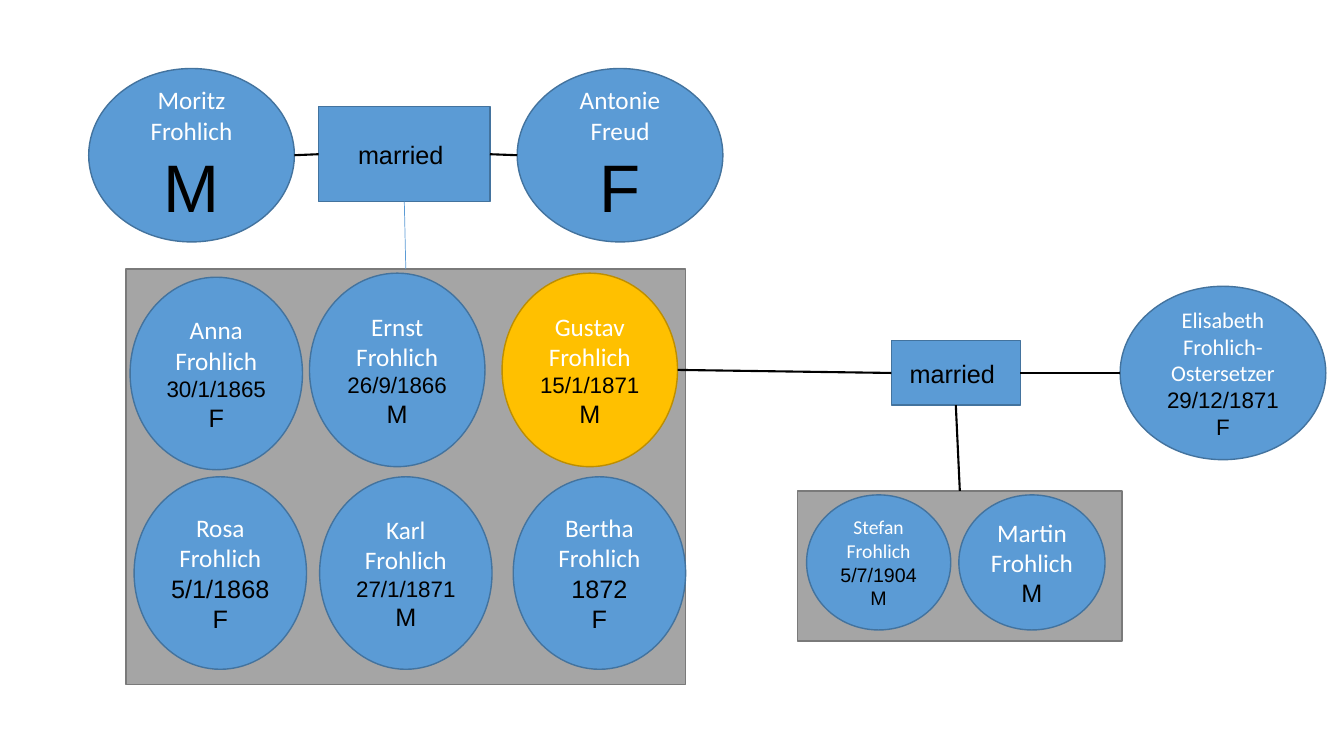
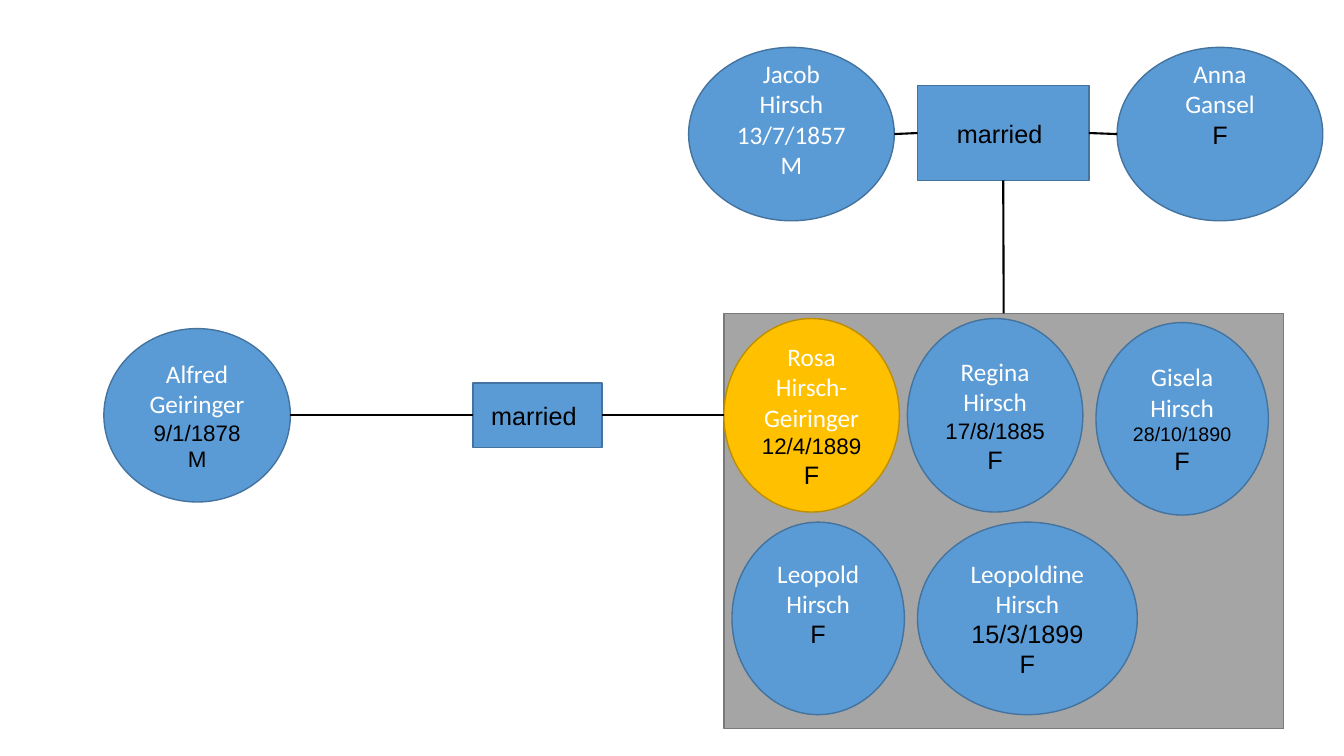
import pptx
import pptx.util
import pptx.dml.color
import pptx.enum.shapes
import pptx.enum.text
import pptx.oxml.ns
import lxml.etree

PX = 9144  # 100 px to the inch
COLORS = {
    "blue": "5B9BD5", "blue_edge": "43739E",
    "gold": "FFC000", "gold_edge": "BD8E00",
    "gray": "A5A5A5", "gray_edge": "7A7A7A",
    "white": "FFFFFF", "black": "000000",
}
NAME_FONT, DETAIL_FONT = "Calibri", "Arial"
BLANK_LINE = 30  # height of one 18 pt line
PARENT, CHILD, WIDE_CHILD = (204, 172), (171, 191), (174, 192)
BIG_MARRIAGE, SMALL_MARRIAGE = (170, 94), (128, 64)
SIBLINGS = (555, 412)

# boxes: key, position, size
# people: key, full name, name size, position, size, details (text, size), options
# links: key, side, key, side, line colour, line width
FAMILIES = [
    {
        "groups": [("siblings", (125, 267), SIBLINGS),
                   ("sons", (791, 487), (322, 149))],
        "marriages": [("parents", (316, 106), BIG_MARRIAGE),
                      ("couple", (884, 338), SMALL_MARRIAGE)],
        "people": [
            ("Moritz", "Moritz Frohlich", 18, (88, 68), PARENT, [("M", 48)], {}),
            ("Antonie", "Antonie Freud", 18, (513, 68), PARENT, [("F", 48)], {}),
            ("Anna", "Anna Frohlich", 18, (129, 275), CHILD,
             [("30/1/1865", 16), ("F", 18)], {}),
            ("Ernst", "Ernst Frohlich", 18, (307, 271), WIDE_CHILD,
             [("26/9/1866", 16), ("M", 18)], {}),
            ("Gustav", "Gustav Frohlich", 18, (498, 271), WIDE_CHILD,
             [("15/1/1871", 16), ("M", 18)], {"color": "gold"}),
            ("Rosa", "Rosa Frohlich", 18, (133, 473), CHILD,
             [("5/1/1868", 18), ("F", 18)], {}),
            ("Karl", "Karl Frohlich", 18, (317, 473), CHILD,
             [("27/1/1871", 16), ("M", 18)], {}),
            ("Bertha", "Bertha Frohlich", 18, (509, 473), CHILD,
             [("1872", 18), ("F", 18)], {}),
            ("Elisabeth", "Elisabeth Frohlich-Ostersetzer", 16, (1111, 284), PARENT,
             [("29/12/1871", 16), ("F", 16)], {}),
            ("Stefan", "Stefan Frohlich", 14, (800, 491), (143, 134),
             [("5/7/1904", 14), ("M", 14)], {}),
            ("Martin", "Martin Frohlich", 18, (951, 491), (145, 134),
             [("M", 18)], {}),
        ],
        "links": [
            ("Antonie", "left", "parents", "right", "black", 1.5),
            ("parents", "left", "Moritz", "right", "black", 1.5),
            ("parents", "bottom", "siblings", "top", "blue", 0.5),
            ("Gustav", "right", "couple", "left", "black", 1.5),
            ("Elisabeth", "left", "couple", "right", "black", 1.5),
            ("couple", "bottom", "sons", "top", "black", 1.5),
        ],
    },
    {
        "groups": [("siblings", (718, 311), SIBLINGS)],
        "marriages": [("parents", (910, 85), BIG_MARRIAGE),
                      ("couple", (469, 380), SMALL_MARRIAGE)],
        "people": [
            ("Jacob", "Jacob Hirsch", 18, (683, 47), PARENT,
             [("13/7/1857", 18), ("M", 18)], {"plain": True, "lift": 1}),
            ("Anna", "Anna Gansel", 18, (1108, 47), PARENT, [("F", 18)], {"lift": 2}),
            ("Rosa", "Rosa Hirsch-Geiringer", 18, (718, 316), WIDE_CHILD,
             [("12/4/1889", 16), ("F", 18)], {"color": "gold"}),
            ("Regina", "Regina Hirsch", 18, (900, 316), WIDE_CHILD,
             [("17/8/1885", 16), ("F", 18)], {}),
            ("Gisela", "Gisela Hirsch", 18, (1087, 320), CHILD,
             [("28/10/1890", 14), ("F", 18)], {}),
            ("Leopold", "Leopold Hirsch", 18, (726, 518), CHILD,
             [("F", 18)], {"lift": 1}),
            ("Leopoldine", "Leopoldine Hirsch", 18, (910, 518), (218, 191),
             [("15/3/1899", 18), ("F", 18)], {}),
            ("Alfred", "Alfred Geiringer", 18, (103, 326), (185, 172),
             [("9/1/1878", 16), ("M", 16)], {}),
        ],
        "links": [
            ("Anna", "left", "parents", "right", "black", 1.5),
            ("parents", "left", "Jacob", "right", "black", 1.5),
            ("siblings", "top", "parents", "bottom", "black", 1.5),
            ("Rosa", "left", "couple", "right", "black", 1.5),
            ("couple", "left", "Alfred", "right", "black", 1.5),
        ],
    },
]
SIDES = {"left": (0, 0.5), "right": (1, 0.5), "top": (0.5, 0), "bottom": (0.5, 1)}
SHAPES = pptx.enum.shapes.MSO_SHAPE


def rgb(name):
    return pptx.dml.color.RGBColor.from_string(COLORS[name])


def add_box(s, kind, pos, size, color, lines=(), lift=0):
    """Add an outlined shape; lines are (text, size, font, colour)."""
    sp = s.shapes.add_shape(kind, *(v * PX for v in pos + size))
    sp.shadow.inherit = False
    sp.fill.solid()
    sp.fill.fore_color.rgb = rgb(color)
    sp.line.color.rgb = rgb(color + "_edge")
    sp.line.width = pptx.util.Pt(1)
    if not lines:
        return sp
    tf = sp.text_frame
    tf.word_wrap = True
    tf.vertical_anchor = pptx.enum.text.MSO_ANCHOR.MIDDLE
    tf.margin_bottom = (5 + lift * BLANK_LINE) * PX
    tf.text = "\n".join(line[0] for line in lines)
    for p, (_, pt, font, ink) in zip(tf.paragraphs, lines):
        p.alignment = pptx.enum.text.PP_ALIGN.CENTER
        r = p.runs[0]
        r.font.size = pptx.util.Pt(pt)
        r.font.name = font
        r.font.color.rgb = rgb(ink)
    return sp


def add_person(s, name, pt, pos, size, details, color="blue", plain=False, lift=0):
    name_style = (NAME_FONT, "white")
    detail_style = name_style if plain else (DETAIL_FONT, "black")
    lines = [(name, pt) + name_style] + [d + detail_style for d in details]
    return add_box(s, SHAPES.OVAL, pos, size, color, lines, lift)


def side_point(sp, side):
    fx, fy = SIDES[side]
    return int(sp.left + sp.width * fx), int(sp.top + sp.height * fy)


def add_link(s, start, end, color, width):
    line = s.shapes.add_connector(pptx.enum.shapes.MSO_CONNECTOR.STRAIGHT, *start, *end)
    line.line.color.rgb = rgb(color)
    line.line.width = pptx.util.Pt(width)
    lxml.etree.SubElement(line._element.spPr, pptx.oxml.ns.qn("a:effectLst"))


def add_family(prs, family):
    s = prs.slides.add_slide(prs.slide_layouts[6])
    boxes = {}
    # Gray groups of children
    for key, pos, size in family["groups"]:
        boxes[key] = add_box(s, SHAPES.RECTANGLE, pos, size, "gray")
    # Marriages
    label = [("married ", 18, DETAIL_FONT, "black")]
    for key, pos, size in family["marriages"]:
        boxes[key] = add_box(s, SHAPES.RECTANGLE, pos, size, "blue", label)
    # People
    for key, *person, options in family["people"]:
        boxes[key] = add_person(s, *person, **options)
    # Connecting lines
    for a, a_side, b, b_side, color, width in family["links"]:
        add_link(s, side_point(boxes[a], a_side), side_point(boxes[b], b_side),
                 color, width)


def main():
    prs = pptx.Presentation()
    prs.slide_width, prs.slide_height = 1333 * PX, 750 * PX
    for family in FAMILIES:
        add_family(prs, family)
    prs.save("out.pptx")


if __name__ == "__main__":
    main()
